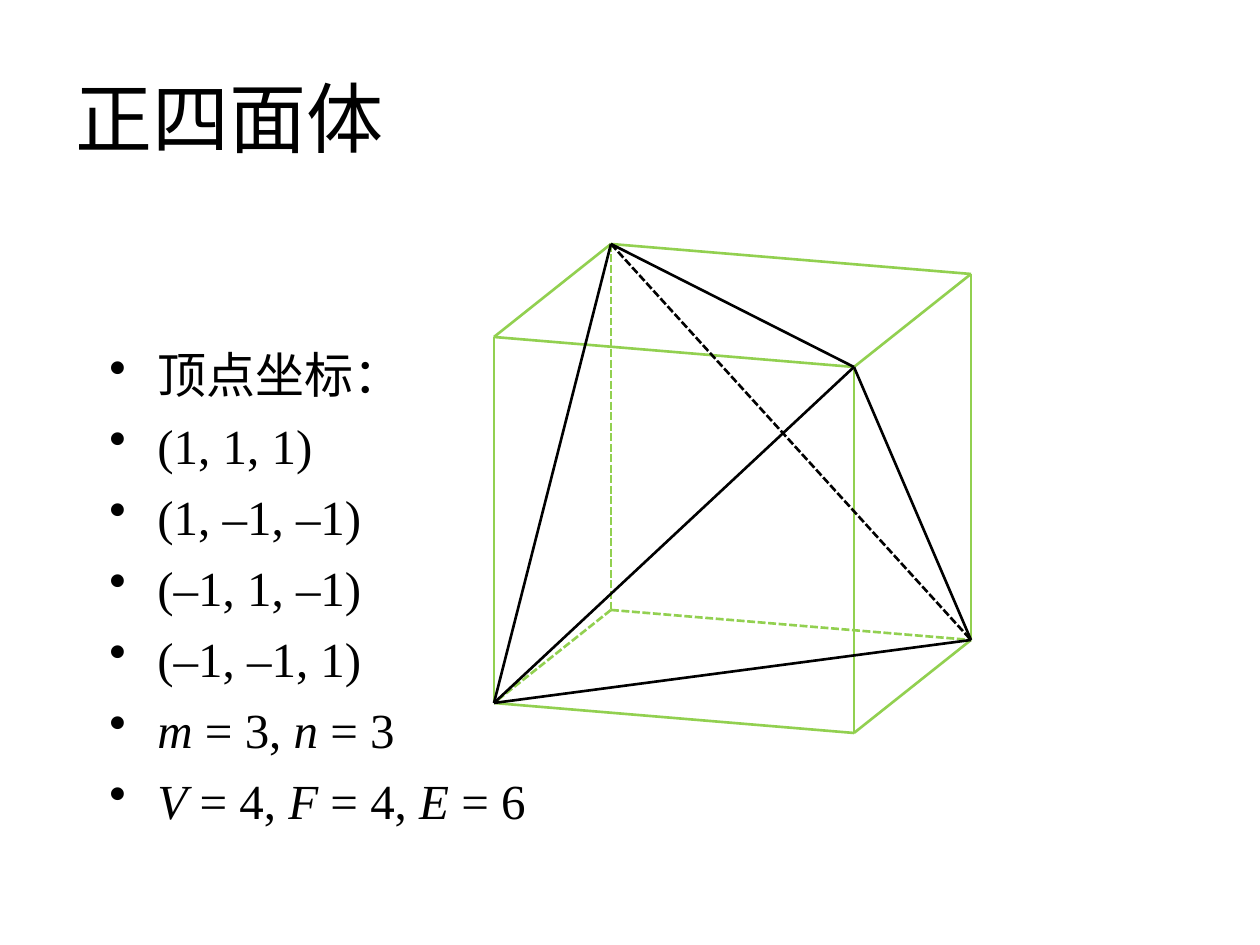
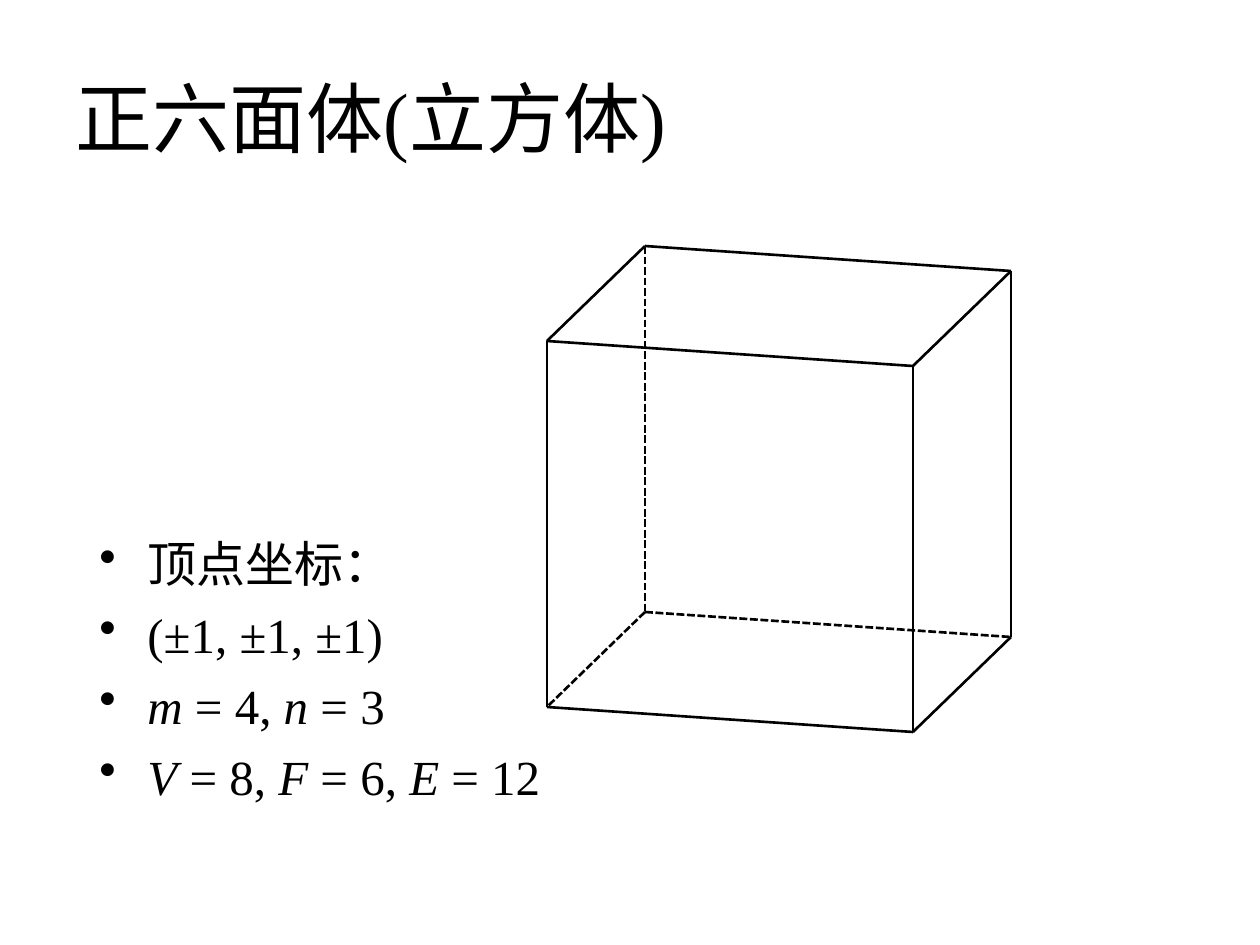
from itertools import combinations, product

from lxml import etree
from pptx import Presentation
from pptx.dml.color import RGBColor
from pptx.enum.dml import MSO_LINE
from pptx.enum.shapes import MSO_CONNECTOR
from pptx.enum.text import MSO_ANCHOR
from pptx.oxml.ns import qn
from pptx.util import Pt

STRAIGHT = MSO_CONNECTOR.STRAIGHT
DASH = MSO_LINE.SQUARE_DOT
MIDDLE = MSO_ANCHOR.MIDDLE
EMU_PER_PX = 914400 / 126
COLORS = {"ink": "000000", "cube": "92D050"}
LATIN = "Times New Roman"
CJK = "Noto Sans CJK SC"
HIDDEN_CORNER = (0, 1, 0)


def px(n):
    return round(n * EMU_PER_PX)


def add_text(s, box, lines, size):
    tf = s.shapes.add_textbox(*map(px, box)).text_frame
    tf.word_wrap = True
    for i, line in enumerate(lines):
        p = tf.add_paragraph() if i else tf.paragraphs[0]
        for j, part in enumerate(line.split("*")):
            if not part:
                continue
            r = p.add_run()
            r.text = part
            r.font.size = Pt(size)
            r.font.name = LATIN
            r.font.italic = j % 2 == 1
            r.font.color.rgb = RGBColor.from_string(COLORS["ink"])
            etree.SubElement(r.font._element, qn("a:ea")).set("typeface", CJK)
    return tf


slides = [
    {
        "title": "正四面体",
        "body_box": (97, 338, 496, 494),
        "body": ["顶点坐标：", "(1, 1, 1)", "(1, –1, –1)", "(–1, 1, –1)", "(–1, –1, 1)",
                 "*m* = 3, *n* = 3", "*V* = 4, *F* = 4, *E* = 6"],
        "origin": (611, 244),
        "axes": ((360, 30), (0, 366), (-117, 93)),
        "cube": "cube",
        "tetrahedron": True,
    },
    {
        "title": "正六面体(立方体)",
        "body_box": (87, 527, 510, 315),
        "body": ["顶点坐标：", "(±1, ±1, ±1)", "*m* = 4, *n* = 3", "*V* = 8, *F* = 6, *E* = 12"],
        "origin": (645, 246),
        "axes": ((366, 25), (0, 366), (-98, 95)),
        "cube": "ink",
        "tetrahedron": False,
    },
]

prs = Presentation()
prs.slide_width, prs.slide_height = px(1260), px(945)

for spec_data in slides:
    s = prs.slides.add_slide(prs.slide_layouts[6])
    tf = add_text(s, (63, 38, 1134, 157), [spec_data["title"]], 44)
    tf.vertical_anchor = MIDDLE

    tf = add_text(s, spec_data["body_box"], spec_data["body"], 28)
    for p in tf.paragraphs:
        p.space_before = Pt(7)
        pPr = p._p.get_or_add_pPr()
        pPr.set("marL", str(px(48)))
        pPr.set("indent", str(px(-48)))
        etree.SubElement(pPr, qn("a:buChar")).set("char", "•")

    corners = {}
    for corner in product((0, 1), repeat=3):
        corners[corner] = [
            start + sum(c * axis[k] for c, axis in zip(corner, spec_data["axes"]))
            for k, start in enumerate(spec_data["origin"])
        ]

    edges = []
    for a, b in combinations(corners, 2):
        if sum(m != n for m, n in zip(a, b)) == 1:
            edges.append((a, b, spec_data["cube"], HIDDEN_CORNER in (a, b)))
    if spec_data["tetrahedron"]:
        even = [c for c in corners if sum(c) % 2 == 0]
        for a, b in combinations(even, 2):
            edges.append((a, b, "ink", a[2] == b[2] == 0))

    solid = s.shapes.add_group_shape()
    for a, b, color, hidden in edges:
        sp = solid.shapes.add_connector(STRAIGHT, *map(px, corners[a] + corners[b]))
        sp.line.color.rgb = RGBColor.from_string(COLORS[color])
        sp.line.width = Pt(1.5)
        if hidden:
            sp.line.dash_style = DASH
        etree.SubElement(sp._element.spPr, qn("a:effectLst"))

prs.save("out.pptx")
